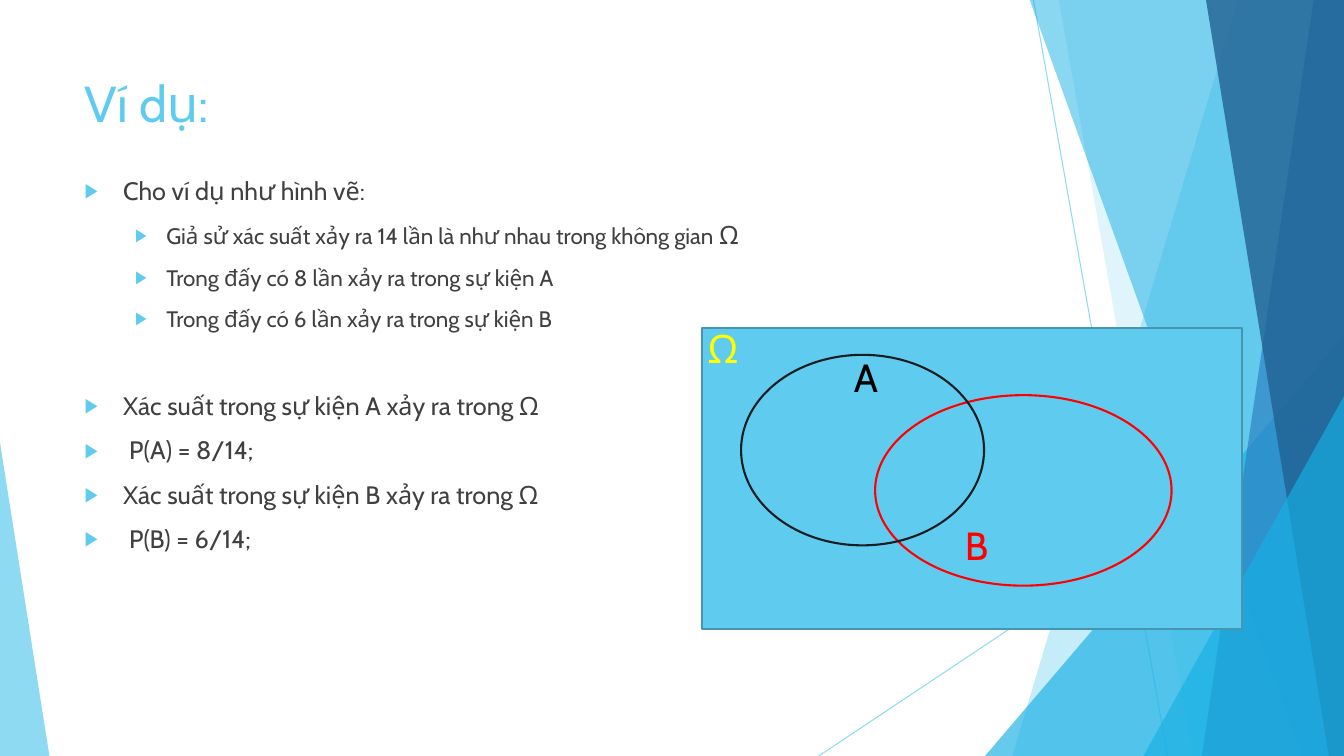
import pptx
import pptx.util
import pptx.dml.color
import pptx.enum.shapes
import pptx.enum.text
import lxml.etree

RGB = pptx.dml.color.RGBColor
SKY = RGB(0x5F, 0xCB, 0xEF)
CYAN = RGB(0x17, 0xB0, 0xE4)
BLUE = RGB(0x2E, 0x83, 0xC3)
NAVY = RGB(0x22, 0x62, 0x92)
TEAL = RGB(0x46, 0x96, 0xB1)
GREY = RGB(0x40, 0x40, 0x40)
INK = RGB(0x16, 0x1E, 0x22)
BLACK = RGB(0, 0, 0)
RED = RGB(0xFF, 0, 0)
YELLOW = RGB(0xFF, 0xFF, 0)

PX = 9144  # 100 px to the inch
WIDE, HIGH = 1333, 750
FONT = "Cabin"
KIND = pptx.enum.shapes.MSO_SHAPE
ALIGN = pptx.enum.text.PP_ALIGN
ANCHOR = pptx.enum.text.MSO_ANCHOR
FIT = pptx.enum.text.MSO_AUTO_SIZE


def add_xml(node, tag, **attrs):
    name = pptx.oxml.ns.qn("a:" + tag)
    return lxml.etree.SubElement(node, name, attrs)


def style(run, size, color):
    run.font.name = FONT
    run.font.size = pptx.util.Pt(size)
    run.font.color.rgb = color


deck = pptx.Presentation()
deck.slide_width, deck.slide_height = WIDE * PX, HIGH * PX
slide = deck.slides.add_slide(deck.slide_layouts[1])

# Background lines
decor = slide.shapes.add_group_shape().shapes
for ends in [(1025, 0, 1158, HIGH), (WIDE, 403, 812, HIGH)]:
    line = decor.add_connector(
        pptx.enum.shapes.MSO_CONNECTOR.STRAIGHT, *[n * PX for n in ends])
    line.line.color.rgb = SKY
    line.line.width = pptx.util.Pt(0.75)
    hue = line.line._ln.find(".//" + pptx.oxml.ns.qn("a:srgbClr"))
    add_xml(hue, "alpha", val="70000")
    add_xml(line._element.spPr, "effectLst")

# Bands give top and foot x; triangles give left, top, width, height, apex
facets = [
    (SKY, 36, (1228, 1004)),
    (SKY, 20, (1050, 1183)),
    (CYAN, 66, (977, 333, 356, 417, 1)),
    (CYAN, 50, (1021, 1291)),
    (BLUE, 70, (1303, 1192)),
    (NAVY, 80, (1196, 1318)),
    (CYAN, 66, (1134, 393, 199, 357, 1)),
    (SKY, 70, (0, 439, 49, 311, 0)),
]
for color, alpha, dims in facets:
    if len(dims) == 2:
        top, foot = dims
        pen = decor.build_freeform(top, -1, scale=PX)
        pen.add_line_segments([(WIDE, -1), (WIDE, HIGH), (foot, HIGH)])
        facet = pen.convert_to_shape()
    else:
        *box, apex = dims
        facet = decor.add_shape(KIND.ISOSCELES_TRIANGLE, *[n * PX for n in box])
        facet.adjustments[0] = apex
    facet.shadow.inherit = False
    facet.fill.solid()
    facet.fill.fore_color.rgb = color
    facet.line.fill.background()
    hue = facet._element.spPr.find(".//" + pptx.oxml.ns.qn("a:srgbClr"))
    add_xml(hue, "alpha", val=str(alpha * 1000))

# Title and list
title, body = slide.shapes.title, slide.placeholders[1]
for holder, top, tall in [(title, 67, 144), (body, 169, 492)]:
    holder.left, holder.top = 74 * PX, top * PX
    holder.width, holder.height = 940 * PX, tall * PX
    holder.text_frame.auto_size = FIT.NONE
    holder.text_frame.vertical_anchor = ANCHOR.TOP
title.text_frame.text = "Ví dụ:"
head = title.text_frame.paragraphs[0]
head.alignment = ALIGN.LEFT
style(head.runs[0], 36, SKY)

# Level, text indent, space before, runs
items = [
    (0, 38, 0, ["Cho ví dụ như hình vẽ:"]),
    (1, 81, 10, ["Giả sử xác suất xảy ra 14 lần là như nhau trong không gian ", "Ω"]),
    (1, 81, 10, ["Trong đấy có 8 lần xảy ra trong sự kiện A"]),
    (1, 81, 10, ["Trong đấy có 6 lần xảy ra trong sự kiện B"]),
    (0, 38, 42, ["Xác suất trong sự kiện A xảy ra trong Ω"]),
    (0, 44, 10, ["P(A) = 8/14;"]),
    (0, 38, 10, ["Xác suất trong sự kiện B xảy ra trong Ω"]),
    (0, 44, 10, ["P(B) = 6/14;"]),
]
frame = body.text_frame
for row, (level, indent, gap, texts) in enumerate(items):
    para = frame.add_paragraph() if row else frame.paragraphs[0]
    para.level = level
    props = para._p.get_or_add_pPr()
    hang = 31 if level else indent
    props.set("marL", str(indent * PX))
    props.set("indent", str(-hang * PX))
    add_xml(add_xml(props, "buClr"), "srgbClr", val=str(SKY))
    add_xml(props, "buSzPct", val="80000")
    add_xml(props, "buFont", typeface=FONT)
    add_xml(props, "buChar", char="▶")
    para.space_before = pptx.util.Pt(gap)
    for text in texts:
        run = para.add_run()
        run.text = text
        style(run, 16 if level and text != "Ω" else 18, GREY)

# Venn diagram
venn = slide.shapes.add_group_shape().shapes
for kind, box, fill, edge in [
    (KIND.RECTANGLE, (696, 325, 536, 299), SKY, TEAL),
    (KIND.OVAL, (868, 392, 294, 189), None, RED),
    (KIND.OVAL, (735, 352, 241, 189), None, INK),
]:
    shape = venn.add_shape(kind, *[n * PX for n in box])
    shape.shadow.inherit = False
    if fill is None:
        shape.fill.background()
    else:
        shape.fill.solid()
        shape.fill.fore_color.rgb = fill
    shape.line.color.rgb = edge
    shape.line.width = pptx.util.Pt(1.5)

for text, left, top, color in [
    ("A", 837, 346, BLACK), ("B", 947, 512, RED), ("Ω", 692, 317, YELLOW),
]:
    label = venn.add_textbox(left * PX, top * PX, 39 * PX, 57 * PX)
    label.text_frame.word_wrap = True
    label.text_frame.text = text
    style(label.text_frame.paragraphs[0].runs[0], 28, color)

deck.save("out.pptx")
